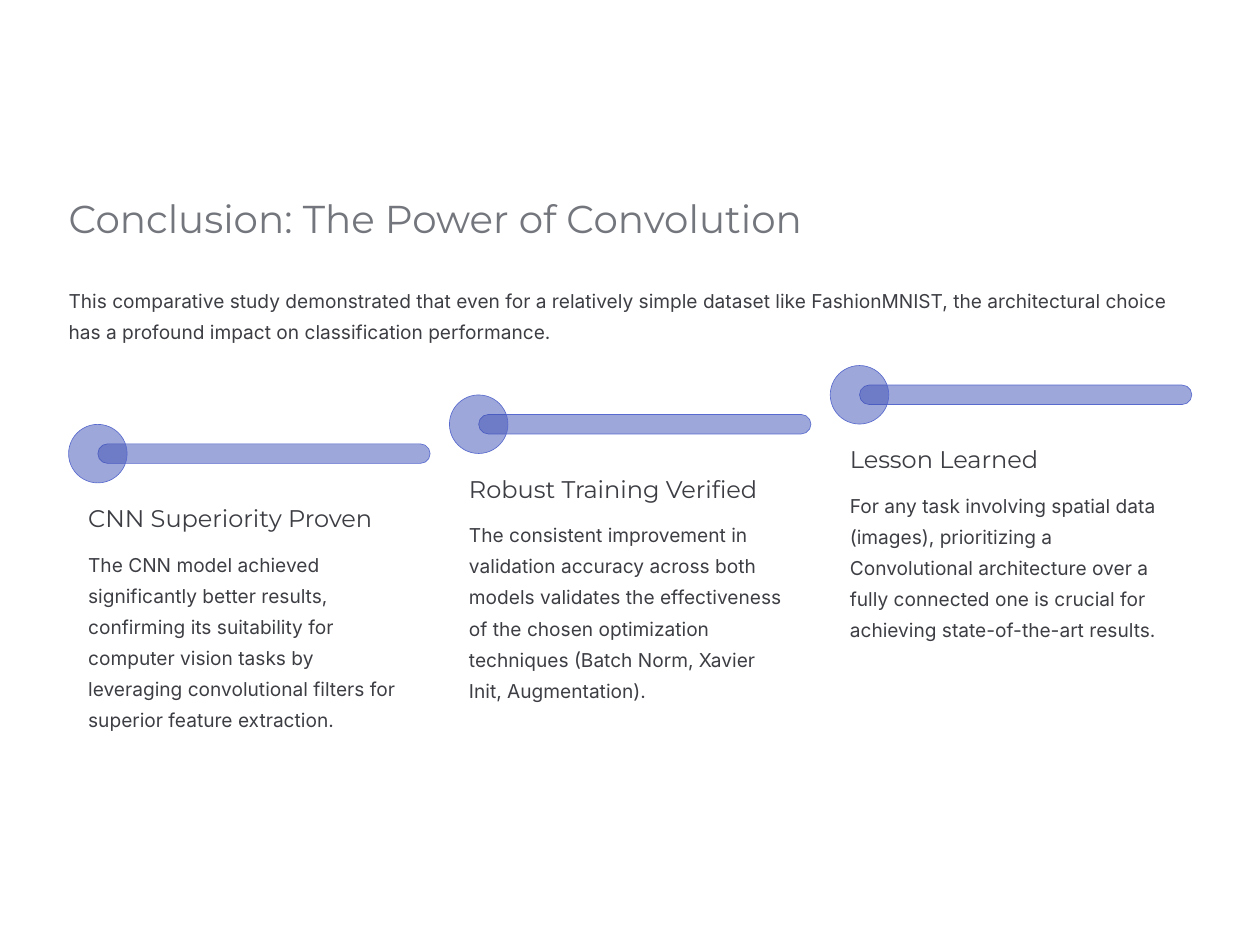
from lxml import etree
from pptx import Presentation
from pptx.dml.color import RGBColor
from pptx.enum import shapes, text
from pptx.oxml import ns
from pptx.util import Pt

WHITE = RGBColor(0xFF, 0xFF, 0xFF)
GRAY = RGBColor(0x74, 0x76, 0x7D)
INK = RGBColor(0x3D, 0x3E, 0x44)
INDIGO = RGBColor(0x3F, 0x51, 0xB5)
OUTLINE = RGBColor(0x58, 0x6A, 0xCE)

deck = Presentation()
deck.slide_width, deck.slide_height = Pt(1152), Pt(864)
slide = deck.slides.add_slide(deck.slide_layouts[6])
slide.background.fill.solid()
slide.background.fill.fore_color.rgb = WHITE


def add_words(words, left, top, width, height, font, size, leading, color, wrap=True):
    box = slide.shapes.add_textbox(Pt(left), Pt(top), Pt(width), Pt(height))
    frame = box.text_frame
    frame.margin_left = frame.margin_top = frame.margin_right = frame.margin_bottom = 0
    frame.word_wrap = wrap
    frame.auto_size = text.MSO_AUTO_SIZE.NONE
    paragraph = frame.paragraphs[0]
    paragraph.line_spacing = Pt(leading)
    run = paragraph.add_run()
    run.text = words
    run.font.name, run.font.size = font, Pt(size)
    run.font.color.rgb = color


def add_marker(left, top, width, height):
    marker = slide.shapes.add_shape(
        shapes.MSO_SHAPE.ROUNDED_RECTANGLE, Pt(left), Pt(top), Pt(width), Pt(height))
    marker.adjustments[0] = 0.5
    marker.shadow.inherit = False
    marker.fill.solid()
    marker.fill.fore_color.rgb = INDIGO
    tint = marker.fill._xPr.find(ns.qn("a:solidFill"))[0]
    etree.SubElement(tint, ns.qn("a:alpha"), val="50000")
    marker.line.color.rgb = OUTLINE
    marker.line.width = Pt(0.6)


LEFT = 62.7
add_words("Conclusion: The Power of Convolution",
          LEFT, 176.4, 685, 44.5, "Montserrat", 35.5, 44.5, GRAY, wrap=False)
add_words("This comparative study demonstrated that even for a relatively simple dataset like "
          "FashionMNIST, the architectural choice has a profound impact on classification "
          "performance.", LEFT, 257, 1026.7, 57, "Inter", 17.5, 28.5, INK)

findings = [
    ("CNN Superiority Proven",
     "The CNN model achieved significantly better results, confirming its suitability for "
     "computer vision tasks by leveraging convolutional filters for superior feature extraction.",
     6),
    ("Robust Training Verified",
     "The consistent improvement in validation accuracy across both models validates the "
     "effectiveness of the chosen optimization techniques (Batch Norm, Xavier Init, "
     "Augmentation).", 6),
    ("Lesson Learned",
     "For any task involving spatial data (images), prioritizing a Convolutional architecture "
     "over a fully connected one is crucial for achieving state-of-the-art results.", 5),
]
COLUMN_STEP, RISE, DOT = 348.2, 26.9, 53.5

for step, (heading, detail, line_count) in enumerate(findings):
    left = LEFT + step * COLUMN_STEP
    top = 388 - step * RISE
    add_marker(left + DOT / 2, top + DOT / 3, 303.8, DOT / 3)
    add_marker(left, top, DOT, DOT)
    add_words(heading, left + 17.9, top + 71.4, 272, 28,
              "Montserrat", 22, 27.5, INK, wrap=False)
    add_words(detail, left + 17.9, top + 110, 294.5, line_count * 28.5,
              "Inter", 17.5, 28.5, INK)

deck.save("out.pptx")
